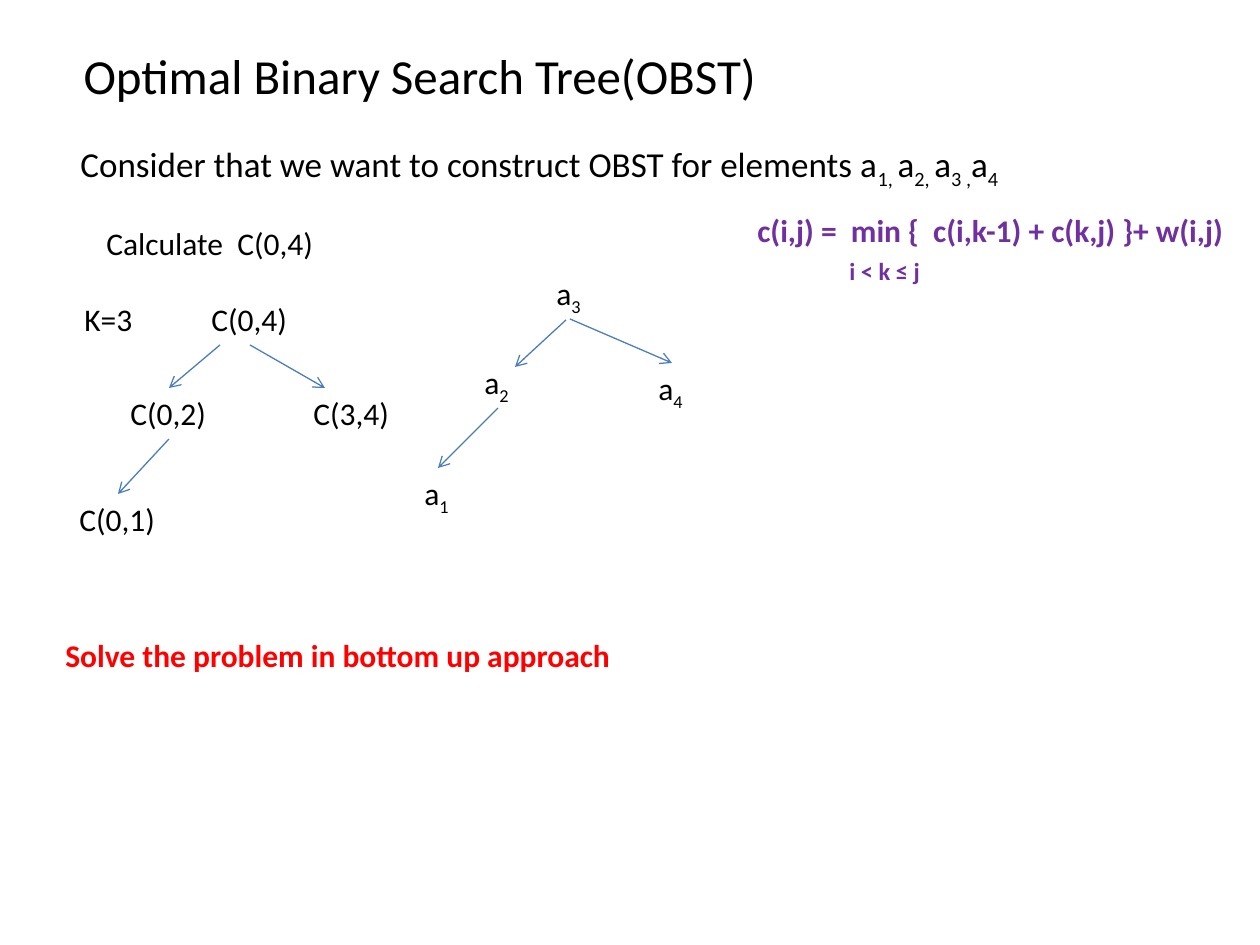
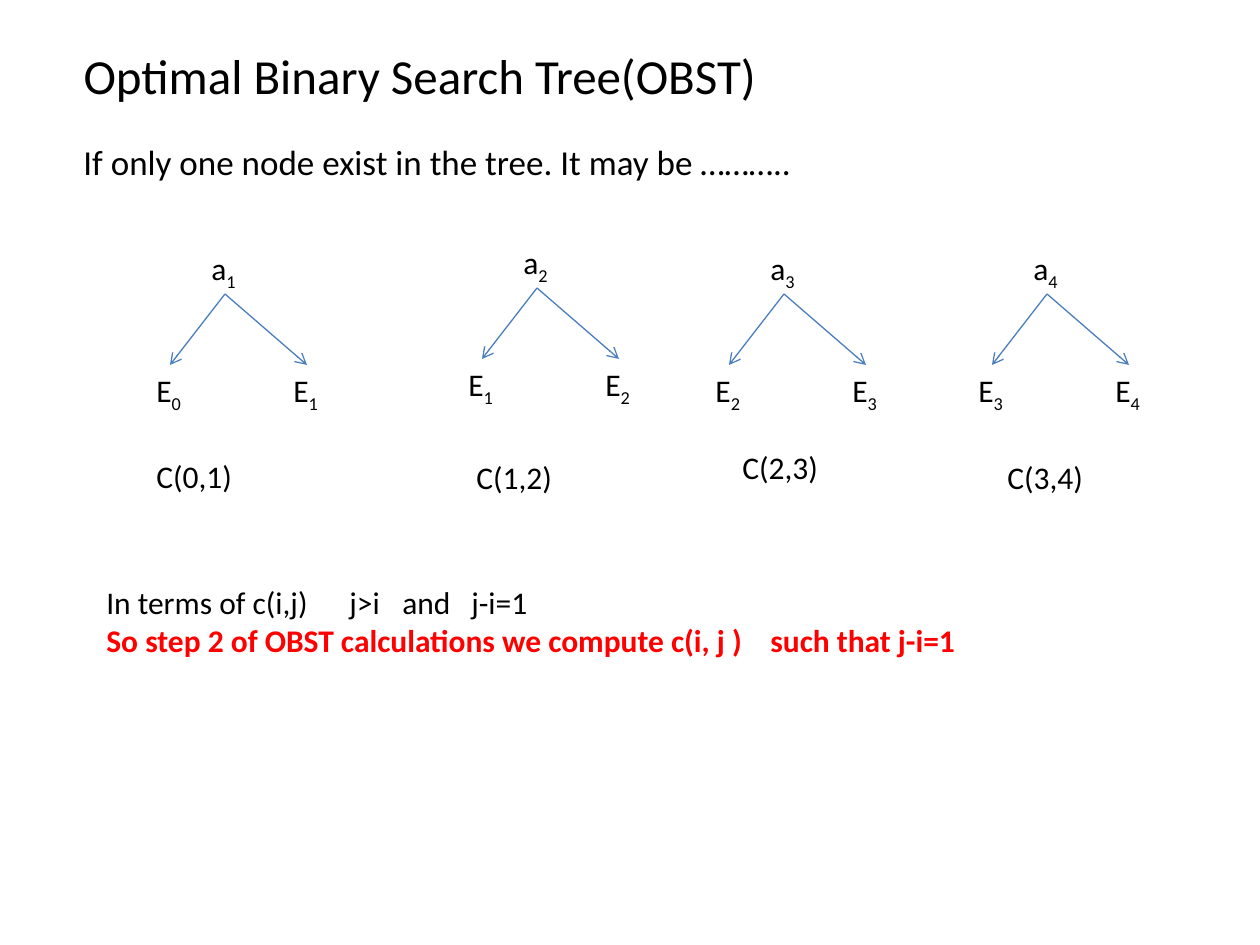
import pptx
import pptx.dml.color
import pptx.enum.shapes
import pptx.enum.text
import pptx.oxml
import pptx.oxml.ns
import pptx.util

PX = 914400 / 126
BLACK, RED, PURPLE, BLUE = "000000", "FF0000", "7030A0", "4B7EBC"
TITLE = "Optimal Binary Search Tree(OBST)"
TITLE_ONLY = 5
NODE_HEIGHT = 51
SYMBOL_WIDTH, COST_WIDTH = 52, 102
TOP, BOTTOM = 0, 2


def px(length):
    return pptx.util.Emu(round(length * PX))


def color(hex_string):
    return pptx.dml.color.RGBColor.from_string(hex_string)


def apply_format(target, values):
    for name, value in values.items():
        setattr(target, name, value)


def add_child(parent, tag, **attributes):
    element = pptx.oxml.parse_xml(f"<{tag} {pptx.oxml.ns.nsdecls('a')}/>")
    for name, value in attributes.items():
        element.set(name, str(value))
    parent.append(element)
    return element


def write(paragraph, text, size, hex_string=BLACK, bold=False):
    for index, piece in enumerate(text.split("|")):
        run = paragraph.add_run()
        run.text = piece
        apply_format(run.font, {"name": "Calibri", "size": pptx.util.Pt(size), "bold": bold})
        run.font.color.rgb = color(hex_string)
        if index % 2:
            run.font._element.set("baseline", "-25000")


def set_frame(frame, wrap=True):
    apply_format(frame, {
        "word_wrap": wrap,
        "auto_size": pptx.enum.text.MSO_AUTO_SIZE.NONE,
        "vertical_anchor": pptx.enum.text.MSO_ANCHOR.TOP,
    })


def set_indent(paragraph, indent):
    paragraph._p.get_or_add_pPr().set("marL", str(px(indent)))


def set_tabs(paragraph, *stops):
    tab_list = add_child(paragraph._p.get_or_add_pPr(), "a:tabLst")
    for stop in stops:
        add_child(tab_list, "a:tab", pos=px(stop), algn="l")


def add_title_slide(presentation):
    slide = presentation.slides.add_slide(presentation.slide_layouts[TITLE_ONLY])
    title = slide.shapes.title
    apply_format(title, {"left": px(71), "top": px(39), "width": px(969), "height": px(72)})
    set_frame(title.text_frame)
    paragraph = title.text_frame.paragraphs[0]
    paragraph.alignment = pptx.enum.text.PP_ALIGN.LEFT
    write(paragraph, TITLE, 28)
    return slide


def add_text(slide, left, top, width, height, *lines, wrap=True):
    shape = slide.shapes.add_textbox(px(left), px(top), px(width), px(height))
    frame = shape.text_frame
    set_frame(frame, wrap)
    for index, line in enumerate(lines):
        paragraph = frame.add_paragraph() if index else frame.paragraphs[0]
        write(paragraph, *line)
    return shape


def add_node(slide, left, top, text):
    width = SYMBOL_WIDTH if "|" in text else COST_WIDTH
    return add_text(slide, left, top, width, NODE_HEIGHT, (text, 18), wrap=False)


def add_arrow(slide, start, end):
    begin_point = start if isinstance(start, tuple) else (0, 0)
    end_point = end if isinstance(end, tuple) else (0, 0)
    arrow = slide.shapes.add_connector(
        pptx.enum.shapes.MSO_CONNECTOR.STRAIGHT, *map(px, begin_point + end_point))
    if not isinstance(start, tuple):
        arrow.begin_connect(start, BOTTOM)
    if not isinstance(end, tuple):
        arrow.end_connect(end, TOP)
    arrow.line.width = pptx.util.Pt(0.75)
    arrow.line.color.rgb = color(BLUE)
    add_child(arrow.line._get_or_add_ln(), "a:tailEnd", type="arrow")
    add_child(arrow._element.spPr, "a:effectLst")


def add_single_node_tree(slide, number, left, top):
    root = add_node(slide, left + 55, top, f"a|{number}")
    for offset, leaf_number in ((0, number - 1), (137, number)):
        leaf = add_node(slide, left + offset, top + 122, f"E|{leaf_number}")
        add_arrow(slide, root, leaf)


def add_cost_tree(slide):
    root = add_node(slide, 199, 294, "C(0,4)")
    left_child = add_node(slide, 118, 388, "C(0,2)")
    add_node(slide, 301, 388, "C(3,4)")
    leaf = add_node(slide, 67, 494, "C(0,1)")
    add_arrow(slide, (220, 345), left_child)
    add_arrow(slide, root, (325, 388))
    add_arrow(slide, left_child, leaf)


def add_element_tree(slide):
    root = add_node(slide, 544, 268, "a|3")
    left_child = add_node(slide, 472, 357, "a|2")
    right_child = add_node(slide, 646, 363, "a|4")
    leaf = add_node(slide, 412, 468, "a|1")
    add_arrow(slide, (566, 320), (515, 367))
    add_arrow(slide, root, right_child)
    add_arrow(slide, left_child, leaf)


def build_recurrence_slide(presentation):
    slide = add_title_slide(presentation)
    add_text(slide, 68, 136, 1077, 55, (
        "Consider that we want to construct OBST for elements a|1, |a|2, |a|3 ,|a|4", 20))
    add_text(slide, 94, 218, 339, 50, ("Calculate  C(0,4)", 18))
    formula = add_text(
        slide, 745, 205, 591, 89,
        ("c(i,j) =  min {  c(i,k-1) + c(k,j) }+ w(i,j)", 18, PURPLE, True),
        ("i < k ≤ j", 14, PURPLE, True))
    condition = formula.text_frame.paragraphs[1]
    set_indent(condition, 92)
    condition.space_before = pptx.util.Pt(4)
    add_text(slide, 72, 294, 98, 50, ("K=3", 18))
    add_cost_tree(slide)
    add_element_tree(slide)
    add_text(slide, 53, 630, 703, 50, ("Solve the problem in bottom up approach", 18, RED, True))


def build_single_node_slide(presentation):
    slide = add_title_slide(presentation)
    add_text(slide, 71, 134, 850, 55, ("If only one node exist in the tree. It may be ………..", 20))
    trees = ((144, 243, 144, 451), (456, 237, 464, 452), (703, 243, 730, 442), (966, 243, 995, 452))
    for number, (left, top, cost_left, cost_top) in enumerate(trees, 1):
        add_single_node_tree(slide, number, left, top)
        add_text(slide, cost_left, cost_top, 189, 50, (f"C({number - 1},{number})", 18))
    summary = add_text(
        slide, 94, 577, 1009, 89,
        ("In terms of c(i,j)\tj>i\tand\tj-i=1", 18),
        ("So step 2 of OBST calculations we compute c(i, j )\tsuch that j-i=1", 18, RED, True))
    terms, step = summary.text_frame.paragraphs
    set_tabs(terms, 243, 296, 365)
    set_tabs(step, 664)


def main():
    presentation = pptx.Presentation()
    presentation.slide_width = px(1260)
    presentation.slide_height = px(945)
    build_recurrence_slide(presentation)
    build_single_node_slide(presentation)
    presentation.save("out.pptx")


if __name__ == "__main__":
    main()
